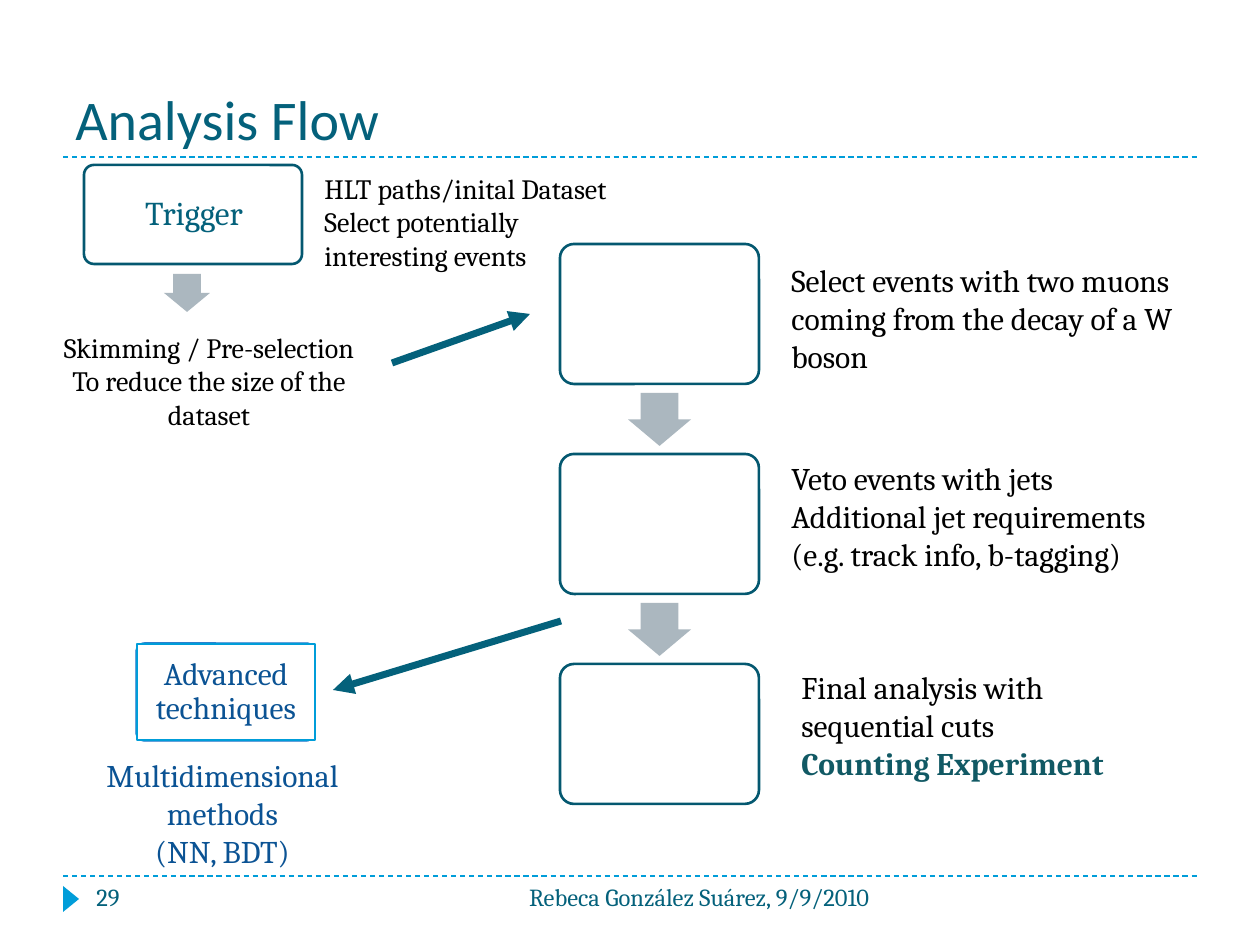
import dataclasses

import lxml.etree
import pptx
import pptx.dml.color
import pptx.enum.dml
import pptx.enum.shapes
import pptx.enum.text
import pptx.oxml.ns
import pptx.util

PX = 914400 / 126
SHAPE = pptx.enum.shapes.MSO_SHAPE
ALIGN = pptx.enum.text.PP_ALIGN
ANCHOR = pptx.enum.text.MSO_ANCHOR
TEAL, EDGE, CYAN, NAVY = "04617B", "045870", "009DD9", "0B5394"
BLACK, WHITE, GREY = "000000", "FFFFFF", "ABB7BF"


@dataclasses.dataclass
class Box:
    x: int
    y: int
    w: int
    h: int


@dataclasses.dataclass
class Label:
    box: Box
    lines: list[str]
    size: int
    color: str = BLACK
    align: ALIGN = ALIGN.LEFT
    anchor: ANCHOR = ANCHOR.TOP
    font: str = "Cambria"
    inset: int | None = None
    spacing: float | None = None


@dataclasses.dataclass
class Line:
    x1: int
    y1: int
    x2: int
    y2: int
    color: str
    width: float
    arrow: bool = False


def px(value: int) -> int:
    return round(value * PX)


def rgb(color: str) -> pptx.dml.color.RGBColor:
    return pptx.dml.color.RGBColor.from_string(color)


def place(box: Box) -> list[int]:
    return [px(v) for v in (box.x, box.y, box.w, box.h)]


def draw_shape(s, kind, box: Box, fill: str, line: str | None = None,
               adjustments: tuple = (), rotation: int = 0):
    sp = s.shapes.add_shape(kind, *place(box))
    sp.shadow.inherit = False
    sp.rotation = rotation
    sp.fill.solid()
    sp.fill.fore_color.rgb = rgb(fill)
    if line:
        sp.line.color.rgb = rgb(line)
        sp.line.width = pptx.util.Pt(1.5)
    else:
        sp.line.fill.background()
    for i, value in enumerate(adjustments):
        sp.adjustments[i] = value
    return sp


def draw_card(s, box: Box, fill: str = WHITE, line: str = EDGE) -> None:
    draw_shape(s, SHAPE.ROUNDED_RECTANGLE, box, fill, line, (0.1,))


def draw_block_arrow(s, box: Box) -> None:
    draw_shape(s, SHAPE.RIGHT_ARROW, box, GREY, None, (0.6, 0.5), 90)


def draw_line(s, line: Line) -> None:
    c = s.shapes.add_connector(pptx.enum.shapes.MSO_CONNECTOR.STRAIGHT,
                               px(line.x1), px(line.y1), px(line.x2), px(line.y2))
    c.line.color.rgb = rgb(line.color)
    c.line.width = pptx.util.Pt(line.width)
    qn = pptx.oxml.ns.qn
    if line.arrow:
        ln = c.line._get_or_add_ln()
        lxml.etree.SubElement(ln, qn("a:tailEnd"), type="triangle")
    else:
        c.line.dash_style = pptx.enum.dml.MSO_LINE.DASH
    lxml.etree.SubElement(c._element.spPr, qn("a:effectLst"))


def write(sp, label: Label) -> None:
    tf = sp.text_frame
    tf.word_wrap = True
    tf.vertical_anchor = label.anchor
    if label.inset is not None:
        tf.margin_left = tf.margin_right = px(label.inset)
        tf.margin_top = tf.margin_bottom = px(label.inset)
    tf.text = "\n".join(label.lines)
    for p in tf.paragraphs:
        p.alignment = label.align
        if label.spacing:
            p.line_spacing = label.spacing
        for r in p.runs:
            r.font.name = label.font
            r.font.size = pptx.util.Pt(label.size)
            r.font.color.rgb = rgb(label.color)


def draw_label(s, label: Label):
    sp = s.shapes.add_textbox(*place(label.box))
    write(sp, label)
    return sp


LABELS = [
    Label(Box(63, 32, 1134, 126), ["Analysis Flow"], 32, TEAL,
          anchor=ANCHOR.BOTTOM, font="Calibri"),
    Label(Box(35, 324, 348, 115),
          ["Skimming / Pre-selection", "To reduce the size of the dataset"],
          16, align=ALIGN.CENTER),
    Label(Box(312, 165, 328, 115),
          ["HLT paths/inital Dataset", "Select potentially interesting events"], 16),
    Label(Box(779, 255, 417, 127),
          ["Select events with two muons coming from the decay of a W boson"], 18),
    Label(Box(779, 453, 427, 127),
          ["Veto events with jets",
           "Additional jet requirements (e.g. track info, b-tagging)"], 18),
    Label(Box(84, 750, 277, 127), ["Multidimensional methods", "(NN, BDT)"],
          18, NAVY, ALIGN.CENTER),
    Label(Box(84, 876, 273, 50), ["29"], 14, TEAL),
    Label(Box(399, 876, 483, 50), ["Rebeca González Suárez, 9/9/2010"],
          14, TEAL, ALIGN.RIGHT),
]
RESULT = Label(Box(789, 662, 387, 127),
               ["Final analysis with sequential cuts", "Counting Experiment"], 18)
TRIGGER = Label(Box(88, 168, 212, 93), ["Trigger"], 19, TEAL, ALIGN.CENTER,
                ANCHOR.MIDDLE, inset=10, spacing=0.9)
ADVANCED = Label(Box(137, 644, 178, 96), ["Advanced techniques"], 18, NAVY,
                 ALIGN.CENTER, ANCHOR.MIDDLE, inset=10, spacing=0.9)
LINES = [
    Line(63, 876, 1197, 876, CYAN, 0.75),
    Line(63, 157, 1197, 157, CYAN, 0.75),
    Line(392, 363, 530, 314, TEAL, 4, True),
    Line(561, 621, 333, 690, TEAL, 4, True),
]
STEP_COUNT, STEP_TOP, STEP_PITCH = 3, 244, 210


def main() -> None:
    prs = pptx.Presentation()
    prs.slide_width, prs.slide_height = px(1260), px(945)
    s = prs.slides.add_slide(prs.slide_layouts[6])

    for line in LINES:
        draw_line(s, line)
    draw_shape(s, SHAPE.ISOSCELES_TRIANGLE, Box(58, 891, 26, 16), CYAN, rotation=90)

    for i in range(STEP_COUNT):
        top = STEP_TOP + i * STEP_PITCH
        draw_card(s, Box(560, top, 199, 140))
        if i < STEP_COUNT - 1:
            draw_block_arrow(s, Box(633, top + 144, 53, 63))

    draw_card(s, Box(84, 165, 218, 99))
    draw_block_arrow(s, Box(168, 270, 38, 46))
    draw_label(s, TRIGGER)

    draw_card(s, Box(134, 641, 183, 102), "0F6FC6", WHITE)
    write(draw_shape(s, SHAPE.RECTANGLE, ADVANCED.box, WHITE, CYAN), ADVANCED)

    for label in LABELS:
        draw_label(s, label)
    r = draw_label(s, RESULT).text_frame.paragraphs[-1].runs[0]
    r.font.bold = True
    r.font.color.rgb = rgb("115964")

    prs.save("out.pptx")


if __name__ == "__main__":
    main()
